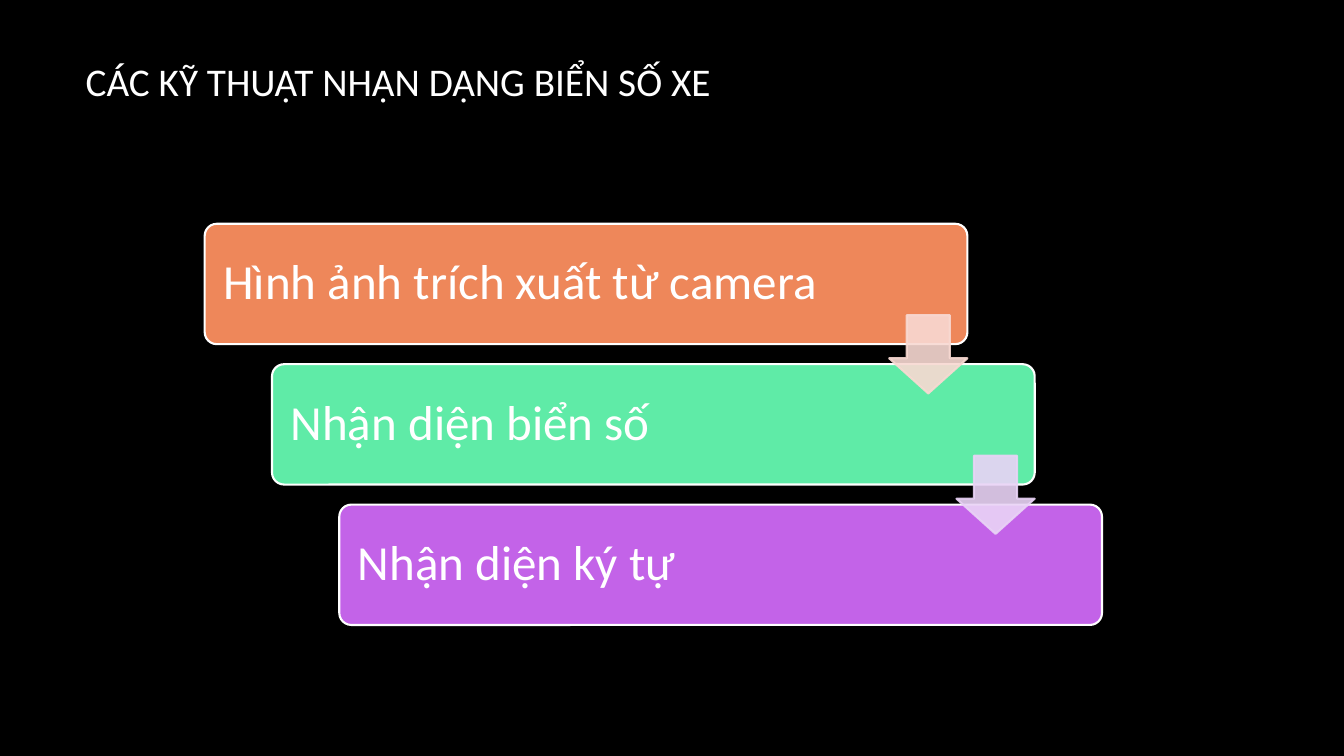
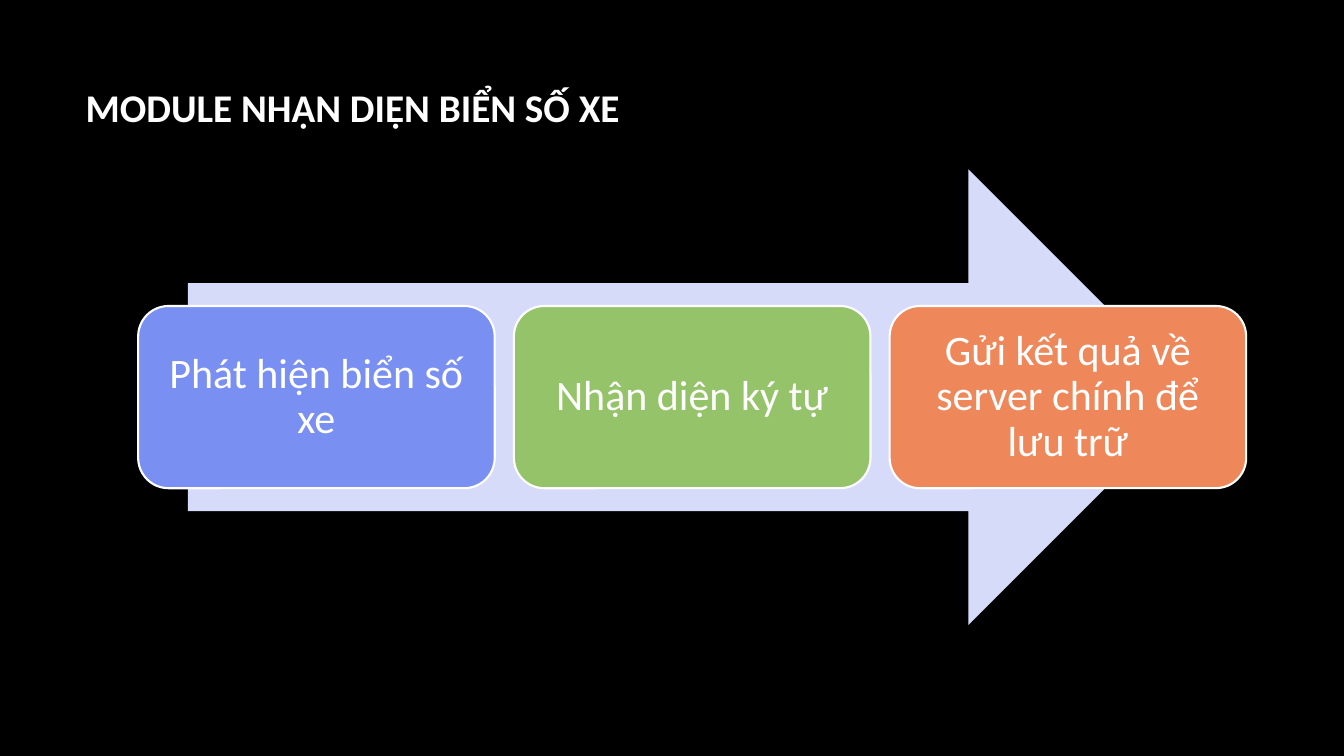
from pptx import Presentation
from pptx.dml.color import RGBColor
from pptx.enum.shapes import MSO_SHAPE
from pptx.enum.text import MSO_ANCHOR, PP_ALIGN
from pptx.oxml.ns import qn
from pptx.util import Inches, Pt
from lxml import etree

LEFT, CENTER = PP_ALIGN.LEFT, PP_ALIGN.CENTER
MIDDLE = MSO_ANCHOR.MIDDLE
ROUNDED = MSO_SHAPE.ROUNDED_RECTANGLE
DOWN_ARROW, RIGHT_ARROW = MSO_SHAPE.DOWN_ARROW, MSO_SHAPE.RIGHT_ARROW

FONT = "Calibri"
BLACK, WHITE = "000000", "FFFFFF"
ORANGE, MINT, PURPLE = "EE875A", "5FEBA7", "C363E8"
BLUE, GREEN = "798FF2", "95C369"
PALE_ORANGE, PALE_PURPLE, PALE_BLUE = "F8D9D2", "E9D3F6", "D7DBFA"


def paint(color_format, color, opacity=100):
    color_format.rgb = RGBColor.from_string(color)


def set_opacity(shape, percent):
    """Make the fill and the outline of a shape partly transparent."""
    for color in shape._element.spPr.iter(qn("a:srgbClr")):
        etree.SubElement(color, qn("a:alpha")).set("val", str(percent * 1000))


def write(frame, text, size, alignment, bold=False):
    frame.word_wrap = True
    frame.vertical_anchor = MIDDLE
    paragraph = frame.paragraphs[0]
    paragraph.alignment = alignment
    paragraph.line_spacing = 0.9
    run = paragraph.add_run()
    run.text = text
    run.font.name = FONT
    run.font.size = Pt(size)
    run.font.bold = bold
    paint(run.font.color, WHITE)


def add_shape(slide, kind, box, fill, outline=None, adjustments=()):
    shape = slide.shapes.add_shape(kind, *(Inches(length) for length in box))
    shape.shadow.inherit = False
    shape.fill.solid()
    paint(shape.fill.fore_color, fill)
    if outline:
        paint(shape.line.color, outline)
        shape.line.width = Pt(1.5)
    else:
        shape.line.fill.background()
    for index, value in enumerate(adjustments):
        shape.adjustments[index] = value
    return shape


def add_card(slide, box, text, fill, size, alignment, margin, adjustments=()):
    """Add a rounded, white-edged step with its label."""
    card = add_shape(slide, ROUNDED, box, fill, WHITE, adjustments)
    frame = card.text_frame
    frame.margin_left = frame.margin_right = Inches(margin)
    frame.margin_top = frame.margin_bottom = Inches(margin)
    write(frame, text, size, alignment)


def add_titled_slide(presentation, text, top, height, bold=False):
    slide = presentation.slides.add_slide(presentation.slide_layouts[5])
    title = slide.shapes.title
    title.left, title.top = Inches(0.75), Inches(top)
    title.width, title.height = Inches(11.08), Inches(height)
    write(title.text_frame, text, 28, LEFT, bold)
    return slide


def add_staircase(slide, box, steps, arrow_colors):
    """Place steps down and to the right, with an arrow between neighbours."""
    left, top, width, height = box
    step_width, step_height = width * 0.85, height * 0.3
    shift = (width - step_width) / (len(steps) - 1)
    drop = (height - step_height) / (len(steps) - 1)
    for index, (text, fill) in enumerate(steps):
        step_box = (left + index * shift, top + index * drop, step_width, step_height)
        add_card(slide, step_box, text, fill, 35, LEFT, 0.15, [0.1])

    side = step_height * 0.65
    for index, color in enumerate(arrow_colors):
        arrow_box = (left + index * shift + step_width - side,
                     top + index * drop + step_height * 0.76, side, side)
        arrow = add_shape(slide, DOWN_ARROW, arrow_box, color, color)
        arrow.adjustments[0], arrow.adjustments[1] = 0.55, 0.45
        set_opacity(arrow, 90)


def add_arrow_process(slide, box, steps):
    """Place steps in a row over one wide arrow."""
    left, top, width, height = box
    arrow_width = width * 0.91
    arrow_left = left + (width - arrow_width) / 2
    add_shape(slide, RIGHT_ARROW, (arrow_left, top, arrow_width, height), PALE_BLUE)

    gap = 0.19
    card_width = (width - gap * (len(steps) - 1)) / len(steps)
    for index, (text, fill) in enumerate(steps):
        card_box = (left + index * (card_width + gap), top + height * 0.3,
                    card_width, height * 0.4)
        add_card(slide, card_box, text, fill, 30, CENTER, 0.12)


def main():
    presentation = Presentation()
    presentation.slide_width, presentation.slide_height = Inches(13.33), Inches(7.5)
    background = presentation.slide_master.background.fill
    background.solid()
    paint(background.fore_color, BLACK)

    slide = add_titled_slide(presentation, "CÁC KỸ THUẬT NHẬN DẠNG BIỂN SỐ XE", 0.29, 1.08)
    add_staircase(slide, (2.03, 2.22, 8.9, 3.98), [
        ("Hình ảnh trích xuất từ camera", ORANGE),
        ("Nhận diện biển số", MINT),
        ("Nhận diện ký tự", PURPLE),
    ], [PALE_ORANGE, PALE_PURPLE])

    slide = add_titled_slide(presentation, "MODULE NHẬN DIỆN BIỂN SỐ XE", 0.67, 0.83, bold=True)
    add_arrow_process(slide, (1.37, 1.68, 10.99, 4.52), [
        ("Phát hiện biển số xe", BLUE),
        ("Nhận diện ký tự", GREEN),
        ("Gửi kết quả về server chính để lưu trữ", ORANGE),
    ])
    presentation.save("out.pptx")


if __name__ == "__main__":
    main()
